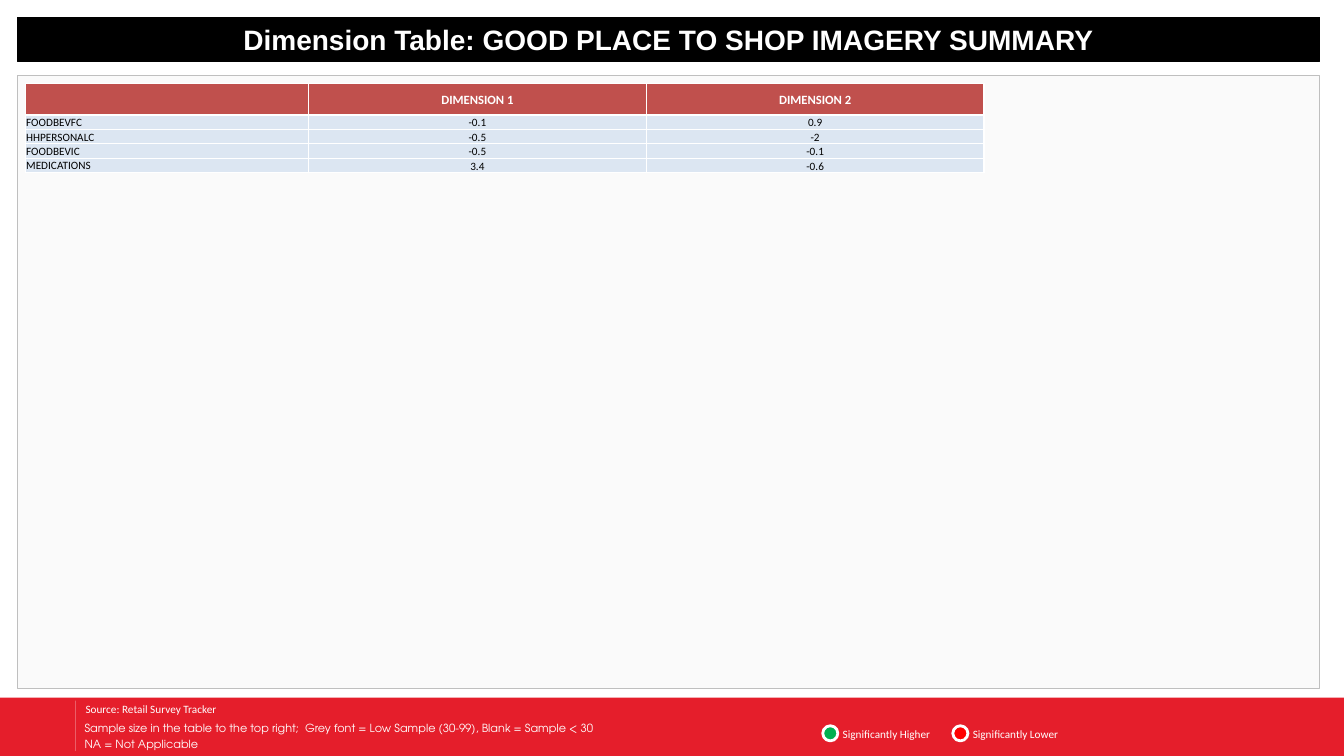
"""Builds the dimension table slide."""
from dataclasses import dataclass

import lxml.etree
import pptx
import pptx.dml.color
import pptx.enum.shapes
import pptx.enum.text
import pptx.oxml
import pptx.oxml.ns
import pptx.util

Inches = pptx.util.Inches
Align = pptx.enum.text.PP_ALIGN
Anchor = pptx.enum.text.MSO_ANCHOR
Shapes = pptx.enum.shapes.MSO_SHAPE


@dataclass(frozen=True)
class Theme:
    """Colours, fonts and type sizes of the slide."""
    white: str = "FFFFFF"
    black: str = "000000"
    footer: str = "E51E2B"
    panel: str = "FAFAFA"
    panel_line: str = "BFBFBF"
    table_header: str = "C0504D"
    table_body: str = "DCE6F2"
    higher: str = "00B050"
    lower: str = "FF0000"
    title_font: str = "Arial"
    text_font: str = "Calibri"
    note_font: str = "TeX Gyre Adventor"
    title_size: int = 20
    header_size: int = 9
    text_size: int = 8


THEME = Theme()

ROWS = [
    ["", "DIMENSION 1", "DIMENSION 2"],
    ["FOODBEVFC", "-0.1", "0.9"],
    ["HHPERSONALC", "-0.5", "-2"],
    ["FOODBEVIC", "-0.5", "-0.1"],
    ["MEDICATIONS", "3.4", "-0.6"],
]


def rgb(value):
    """Turn a hex string into a colour."""
    return pptx.dml.color.RGBColor.from_string(value)


def write(frame, text, size=THEME.text_size, font=THEME.text_font, color=THEME.white,
          bold=False, align=Align.LEFT, space_before=0):
    """Write each line of the text as a formatted paragraph."""
    for index, line in enumerate(text.split("\n")):
        paragraph = frame.add_paragraph() if index else frame.paragraphs[0]
        paragraph.alignment = align
        paragraph.space_before = pptx.util.Pt(space_before)
        run = paragraph.add_run()
        run.text = line
        run.font.size = pptx.util.Pt(size)
        run.font.name = font
        run.font.bold = bold
        run.font.color.rgb = rgb(color)


def paint(shape, fill, line=None, width=0.75):
    """Set the fill and outline of a shape."""
    shape.fill.solid()
    shape.fill.fore_color.rgb = rgb(fill)
    if line:
        shape.line.color.rgb = rgb(line)
        shape.line.width = pptx.util.Pt(width)
    else:
        shape.line.fill.background()


def add_shape(slide, kind, box, fill, **outline):
    """Add a flat preset shape."""
    shape = slide.shapes.add_shape(kind, *map(Inches, box))
    shape.shadow.inherit = False
    paint(shape, fill, **outline)


def add_label(slide, box, text, font=THEME.text_font):
    """Add a small white text box, centred vertically."""
    frame = slide.shapes.add_textbox(*map(Inches, box)).text_frame
    frame.word_wrap = True
    frame.vertical_anchor = Anchor.MIDDLE
    frame.margin_top = frame.margin_bottom = 0
    write(frame, text, font=font, space_before=THEME.text_size * 0.2)


def add_divider(slide, left, top, height):
    """Add a translucent vertical line."""
    divider = slide.shapes.add_connector(
        pptx.enum.shapes.MSO_CONNECTOR.STRAIGHT,
        Inches(left), Inches(top), Inches(left), Inches(top + height))
    divider.line.color.rgb = rgb(THEME.white)
    divider.line.width = pptx.util.Pt(0.5)
    properties = divider._element.spPr
    qualified = pptx.oxml.ns.qn
    color = properties.find(".//" + qualified("a:srgbClr"))
    lxml.etree.SubElement(color, qualified("a:alpha"), val="43000")
    lxml.etree.SubElement(properties, qualified("a:effectLst"))


def add_title(slide, box, text):
    """Format the title placeholder as a black bar."""
    title = slide.shapes.title
    title.left, title.top, title.width, title.height = map(Inches, box)
    paint(title, THEME.black, line=THEME.black)
    frame = title.text_frame
    frame.auto_size = pptx.enum.text.MSO_AUTO_SIZE.NONE
    frame.vertical_anchor = Anchor.MIDDLE
    write(frame, text, size=THEME.title_size, font=THEME.title_font,
          bold=True, align=Align.CENTER)


def add_borders(cell):
    """Draw thin white borders on all sides of a cell."""
    properties = cell._tc.get_or_add_tcPr()
    for side in "LRTB":
        properties.append(pptx.oxml.parse_xml(
            f'<a:ln{side} {pptx.oxml.ns.nsdecls("a")} w="12700"><a:solidFill>'
            f'<a:srgbClr val="{THEME.white}"/></a:solidFill></a:ln{side}>'))


def format_cell(cell, text, is_header, is_name):
    """Fill and write one table cell."""
    add_borders(cell)
    cell.fill.solid()
    cell.fill.fore_color.rgb = rgb(THEME.table_header if is_header else THEME.table_body)
    cell.margin_left = cell.margin_right = cell.margin_top = Inches(0.01)
    cell.margin_bottom = 0
    cell.vertical_anchor = Anchor.BOTTOM if is_name and not is_header else Anchor.MIDDLE
    write(cell.text_frame, text, bold=is_header,
          size=THEME.header_size if is_header else THEME.text_size,
          color=THEME.white if is_header else THEME.black,
          align=Align.LEFT if is_name else Align.CENTER)


def add_dimension_panel(slide, box):
    """Add the grey panel with the dimension table in its top left corner."""
    left, top, _, _ = box
    add_shape(slide, Shapes.RECTANGLE, box, THEME.panel, line=THEME.panel_line)
    widths = [2.81, 3.35, 3.35]
    heights = [0.31] + [0.14] * (len(ROWS) - 1)
    table = slide.shapes.add_table(
        len(ROWS), len(widths), Inches(left + 0.08), Inches(top + 0.08),
        Inches(sum(widths)), Inches(sum(heights))).table
    for column, width in zip(table.columns, widths):
        column.width = Inches(width)
    for row_index, (height, values) in enumerate(zip(heights, ROWS)):
        table.rows[row_index].height = Inches(height)
        for column_index, text in enumerate(values):
            format_cell(table.cell(row_index, column_index), text,
                        is_header=row_index == 0, is_name=column_index == 0)


def add_footer(slide, box):
    """Add the red footer with its notes and significance legend."""
    left, top, _, _ = box
    add_shape(slide, Shapes.RECTANGLE, box, THEME.footer)
    add_label(slide, (left + 0.75, top + 0.01, 1.8, 0.2), "Source: Retail Survey Tracker")
    add_label(slide, (left + 0.74, top + 0.22, 5.42, 0.33),
              "Sample size in the table to the top right;  Grey font = Low Sample (30-99), "
              "Blank = Sample < 30\nNA = Not Applicable", font=THEME.note_font)
    legend = [("Significantly Higher", THEME.higher), ("Significantly Lower", THEME.lower)]
    for index, (text, color) in enumerate(legend):
        marker_left = left + 8.16 + 1.29 * index
        add_label(slide, (marker_left + 0.1, top + 0.26, 1.2, 0.2), text)
        add_shape(slide, Shapes.OVAL, (marker_left, top + 0.28, 0.15, 0.15), color,
                  line=THEME.white, width=2)
    add_divider(slide, left + 0.75, top + 0.03, 0.5)


def main():
    """Build and save the presentation."""
    presentation = pptx.Presentation()
    presentation.slide_width = Inches(13.33)
    presentation.slide_height = Inches(7.5)
    slide = presentation.slides.add_slide(presentation.slide_layouts.get_by_name("Title Only"))
    add_footer(slide, (0, 6.92, 13.33, 0.58))
    add_dimension_panel(slide, (0.17, 0.75, 12.92, 6.08))
    add_title(slide, (0.17, 0.17, 12.92, 0.44),
              "Dimension Table: GOOD PLACE TO SHOP IMAGERY SUMMARY")
    presentation.save("out.pptx")


main()
